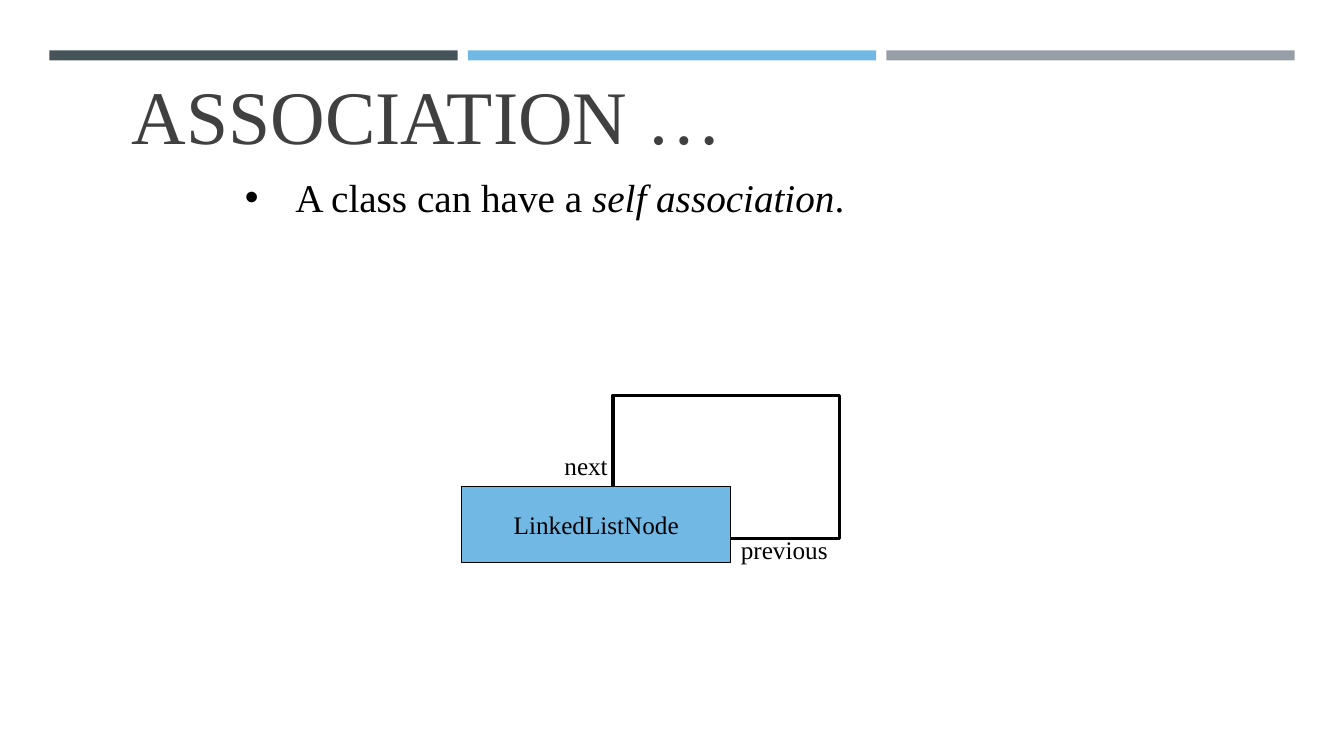
from dataclasses import dataclass

from lxml.etree import SubElement
from pptx import Presentation
from pptx.dml.color import RGBColor
from pptx.enum.shapes import MSO_SHAPE
from pptx.enum.text import MSO_ANCHOR, PP_ALIGN
from pptx.oxml.ns import qn
from pptx.util import Pt

PX = 9144  # EMU per px, 100 px to the inch


@dataclass(frozen=True)
class Theme:
    font: str = "Times New Roman"
    slate: str = "465359"
    blue: str = "71B9E4"
    grey: str = "969FA7"
    heading: str = "404040"
    ink: str = "000000"
    paper: str = "FFFFFF"
    title_size: int = 54
    body_size: int = 28
    label_size: int = 18


THEME = Theme()


def px(*lengths):
    return [n * PX for n in lengths]


def add_rect(shapes, box, fill, line_width=None):
    sp = shapes.add_shape(MSO_SHAPE.RECTANGLE, *px(*box))
    sp.shadow.inherit = False
    sp.fill.solid()
    sp.fill.fore_color.rgb = RGBColor.from_string(fill)
    if line_width is None:
        sp.line.fill.background()
    else:
        sp.line.color.rgb = RGBColor.from_string(THEME.ink)
        sp.line.width = Pt(line_width)
    return sp


def style_runs(p, size, color):
    for r in p.runs:
        r.font.name = THEME.font
        r.font.size = Pt(size)
        r.font.color.rgb = RGBColor.from_string(color)


def add_text(shapes, box, text, size, color=THEME.ink):
    sp = shapes.add_textbox(*px(*box))
    tf = sp.text_frame
    tf.word_wrap = True
    p = tf.paragraphs[0]
    p.text = text
    style_runs(p, size, color)
    return tf


def add_title(shapes, box, text):
    tf = add_text(shapes, box, text, THEME.title_size, THEME.heading)
    tf.vertical_anchor = MSO_ANCHOR.BOTTOM
    tf.margin_bottom = 2 * PX


def add_bullet(shapes, box, parts):
    """Add one bulleted line from (text, italic) parts."""
    tf = add_text(shapes, box, "", THEME.body_size)
    p = tf.paragraphs[0]
    pPr = p._p.get_or_add_pPr()
    pPr.set("marL", str(50 * PX))
    pPr.set("indent", str(-50 * PX))
    SubElement(pPr, qn("a:buFont"), typeface="Arial")
    SubElement(pPr, qn("a:buChar"), char="•")
    for text, italic in parts:
        r = p.add_run()
        r.text = text
        r.font.italic = italic
    style_runs(p, THEME.body_size, THEME.ink)


def add_class_box(shapes, box, name):
    sp = add_rect(shapes, box, THEME.blue, 0.75)
    tf = sp.text_frame
    tf.word_wrap = False
    tf.vertical_anchor = MSO_ANCHOR.MIDDLE
    p = tf.paragraphs[0]
    p.text = name
    p.alignment = PP_ALIGN.CENTER
    style_runs(p, THEME.label_size, THEME.ink)


def add_self_association(s):
    """Draw the class, its loop behind it and the two role names."""
    shapes = s.shapes.add_group_shape().shapes
    add_rect(shapes, (608, 392, 225, 142), THEME.paper, 2.25)
    add_class_box(shapes, (458, 483, 267, 75), "LinkedListNode")
    add_text(shapes, (550, 442, 67, 40), "next", THEME.label_size)
    add_text(shapes, (725, 525, 117, 40), "previous", THEME.label_size)


def main():
    prs = Presentation()
    prs.slide_width, prs.slide_height = px(1333, 750)
    s = prs.slides.add_slide(prs.slide_layouts[6])
    for i, color in enumerate((THEME.slate, THEME.blue, THEME.grey)):
        add_rect(s.shapes, (49 + 415 * i, 50, 405, 10), color)
    add_title(s.shapes, (121, 102, 892, 58), "ASSOCIATION …")
    add_bullet(s.shapes, (233, 167, 858, 57),
               [("A class can have a ", False),
                ("self association", True),
                (".", False)])
    add_self_association(s)
    prs.save("out.pptx")


if __name__ == "__main__":
    main()
